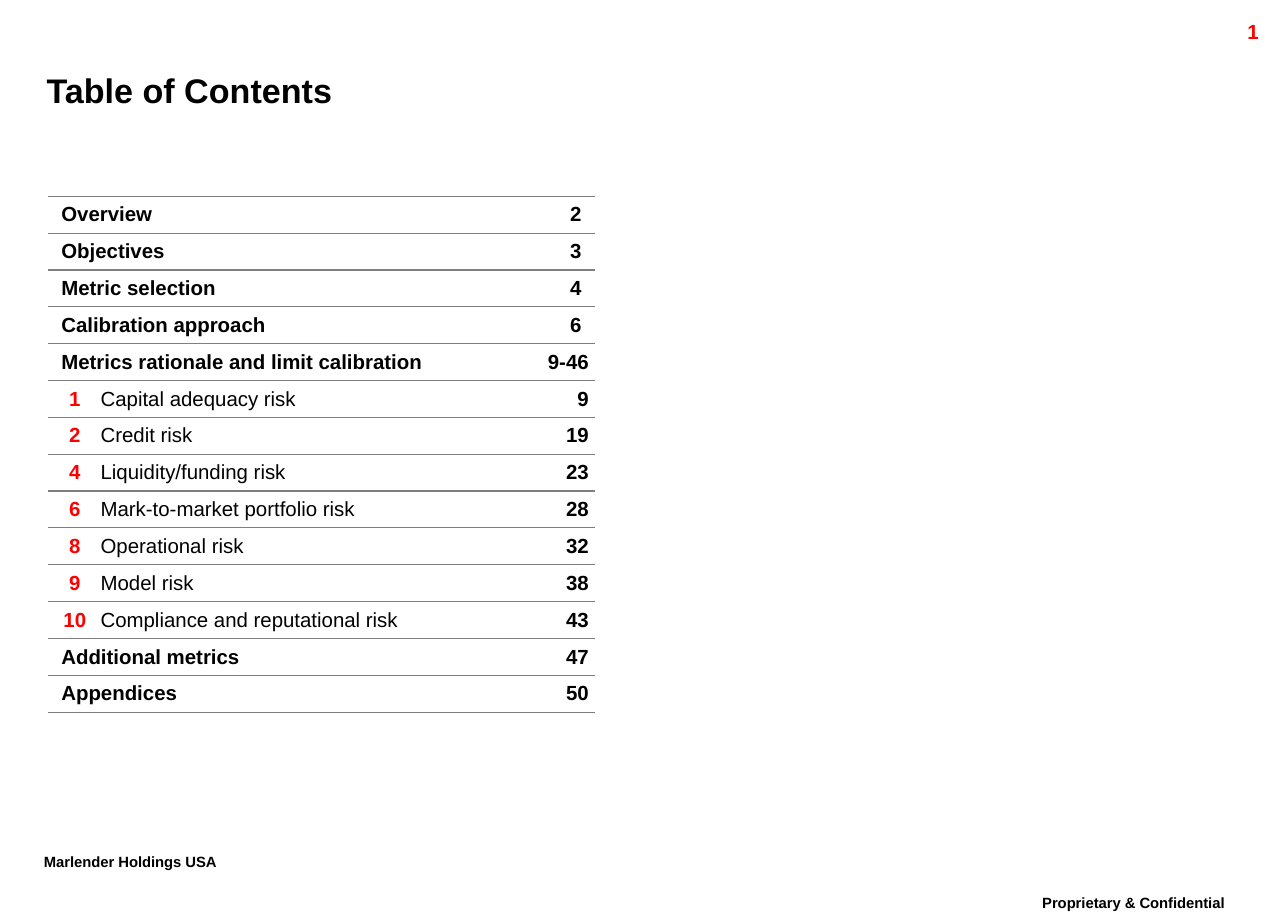
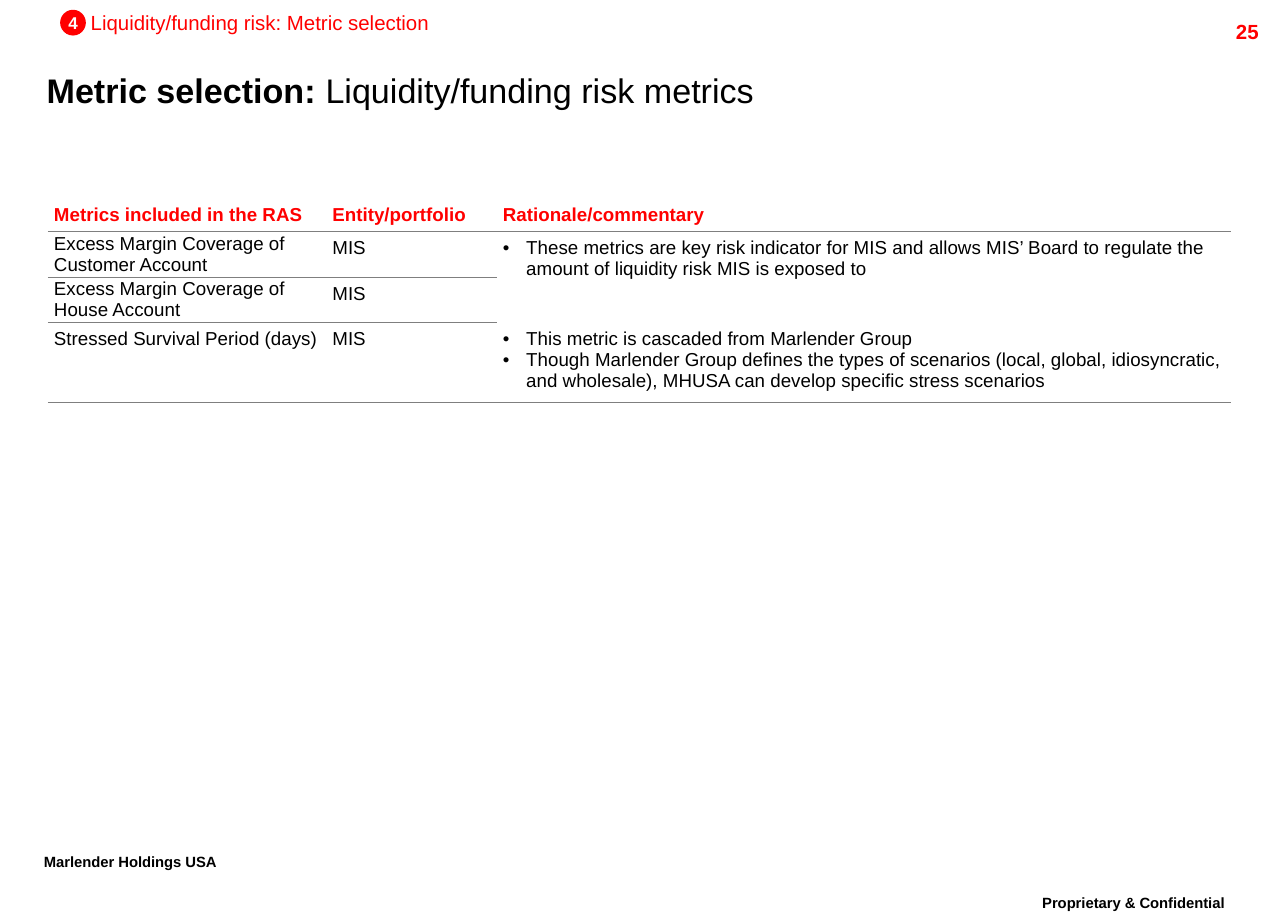
from dataclasses import dataclass
from typing import Any, Optional

import pptx
import pptx.dml.color
import pptx.enum.shapes
import pptx.enum.text
import pptx.oxml.ns
import pptx.util
from lxml import etree

PX = 9144  # EMU per px, 100 px to the inch
FONT = "Arial"
COLORS = {"text": "000000", "accent": "FF0000", "rule": "7F7F7F", "white": "FFFFFF"}
NO_STYLE = "{2D5ABB26-0587-4C30-8999-92F81FD0307C}"
ALIGN = pptx.enum.text.PP_ALIGN
ANCHOR = pptx.enum.text.MSO_ANCHOR
Insets = tuple[int, int, int, int]
WIDE: Insets = (11, 5, 11, 5)
NARROW: Insets = (5, 5, 5, 5)
INDENTED: Insets = (11, 5, 5, 5)
TIGHT: Insets = (5, 0, 0, 0)
ZERO: Insets = (0, 0, 0, 0)


@dataclass(frozen=True)
class Run:
    text: str
    size: int = 12
    color: str = "text"
    bold: bool = False
    baseline: int = 0


@dataclass(frozen=True)
class Cell:
    row: int
    col: int
    paras: tuple[Run, ...]
    align: Any = ALIGN.LEFT
    anchor: Any = ANCHOR.MIDDLE
    insets: Insets = NARROW
    cols: int = 1
    rows: int = 1
    bullet: bool = False


@dataclass(frozen=True)
class Entry:
    label: str
    pages: str
    number: Optional[str] = None
    cols: int = 3


@dataclass(frozen=True)
class Footer:
    text: str
    box: tuple[int, int, int, int]
    align: Any


FOOTERS = (
    Footer("Proprietary & Confidential", (815, 725, 218, 35), ALIGN.CENTER),
    Footer("Marlender Holdings USA", (26, 691, 191, 35), ALIGN.LEFT),
)
CONTENTS = (
    Entry("Overview", "2", cols=2),
    Entry("Objectives", "3", cols=2),
    Entry("Metric selection", "4", cols=2),
    Entry("Calibration approach", "6", cols=2),
    Entry("Metrics rationale and limit calibration", "9-46"),
    Entry("Capital adequacy risk", "9", "1"),
    Entry("Credit risk", "19", "2"),
    Entry("Liquidity/funding risk", "23", "4"),
    Entry("Mark-to-market portfolio risk", "28", "6"),
    Entry("Operational risk", "32", "8"),
    Entry("Model risk", "38", "9"),
    Entry("Compliance and reputational risk", "43", "10"),
    Entry("Additional metrics", "47"),
    Entry("Appendices", "50"),
)


def px(n: int) -> pptx.util.Emu:
    return pptx.util.Emu(n * PX)


def rgb(name: str) -> pptx.dml.color.RGBColor:
    return pptx.dml.color.RGBColor.from_string(COLORS[name])


def sub(parent: Any, tag: str, **attrs: str) -> Any:
    return etree.SubElement(parent, pptx.oxml.ns.qn(tag), attrs)


def solid(parent: Any, tag: str, color: str) -> None:
    sub(sub(parent, tag), "a:srgbClr", val=COLORS[color])


def add_run(p: Any, run: Run) -> None:
    r = p.add_run()
    r.text = run.text
    r.font.name, r.font.size, r.font.bold = FONT, pptx.util.Pt(run.size), run.bold
    r.font.color.rgb = rgb(run.color)
    if run.baseline:
        r._r.get_or_add_rPr().set("baseline", str(run.baseline * 1000))


def set_insets(target: Any, insets: Insets) -> None:
    (target.margin_left, target.margin_top,
     target.margin_right, target.margin_bottom) = map(px, insets)


def add_text(shapes: Any, box: tuple[int, int, int, int], runs: tuple[Run, ...],
             align: Any = ALIGN.LEFT, anchor: Any = ANCHOR.TOP,
             insets: Insets = (10, 5, 10, 5), spacing: float = 1.0) -> None:
    tf = shapes.add_textbox(*map(px, box)).text_frame
    tf.word_wrap, tf.vertical_anchor = True, anchor
    set_insets(tf, insets)
    p = tf.paragraphs[0]
    p.alignment, p.line_spacing = align, spacing
    for run in runs:
        add_run(p, run)


def add_bullet(p: Any) -> None:
    pPr = p._p.get_or_add_pPr()
    pPr.set("marL", str(px(19)))
    pPr.set("indent", str(-px(19)))
    solid(pPr, "a:buClr", "text")
    sub(pPr, "a:buFont", typeface=FONT)
    sub(pPr, "a:buChar", char="•")


def add_rule(cell: Any, tag: str) -> None:
    ln = sub(cell._tc.get_or_add_tcPr(), tag, w=str(pptx.util.Pt(0.75)))
    solid(ln, "a:solidFill", "rule")


def add_ruled_table(s: Any, box: tuple[int, int], widths: tuple[int, ...],
                    heights: tuple[int, ...], cells: list[Cell], top_rule: bool) -> None:
    size = (sum(widths), sum(heights))
    table = s.shapes.add_table(len(heights), len(widths), *map(px, box + size)).table
    tblPr = table._tbl.tblPr
    tblPr.find(pptx.oxml.ns.qn("a:tableStyleId")).text = NO_STYLE
    table.first_row = table.horz_banding = False
    for column, width in zip(table.columns, widths):
        column.width = px(width)
    for row, height in zip(table.rows, heights):
        row.height = px(height)

    # Spans and text
    for spec_cell in cells:
        c = table.cell(spec_cell.row, spec_cell.col)
        if spec_cell.cols > 1 or spec_cell.rows > 1:
            c.merge(table.cell(spec_cell.row + spec_cell.rows - 1,
                               spec_cell.col + spec_cell.cols - 1))
        set_insets(c, spec_cell.insets)
        c.vertical_anchor = spec_cell.anchor
        for i, run in enumerate(spec_cell.paras):
            p = c.text_frame.add_paragraph() if i else c.text_frame.paragraphs[0]
            p.alignment = spec_cell.align
            if spec_cell.bullet:
                add_bullet(p)
            add_run(p, run)

    # Horizontal rules, none inside a vertical span
    for i, row in enumerate(table.rows):
        for c in row.cells:
            if i == 0 and top_rule:
                add_rule(c, "a:lnT")
            if not (c.is_merge_origin and c.span_height > 1):
                add_rule(c, "a:lnB")
            c.fill.background()
            if not c.text_frame.text:
                set_insets(c, NARROW)
                c.text_frame.paragraphs[0].font.size = pptx.util.Pt(11)


def add_page(prs: Any, number: str, title: tuple[Run, ...]) -> Any:
    s = prs.slides.add_slide(prs.slide_layouts[6])
    for footer in FOOTERS:
        add_text(s.shapes, footer.box, (Run(footer.text, 15, bold=True, baseline=30),),
                 footer.align, spacing=0.86)
    add_text(s.shapes, (936, 11, 100, 24), (Run(number, 12, "accent", True),), ALIGN.RIGHT)
    add_text(s.shapes, (38, 49, 948, 48), title, anchor=ANCHOR.MIDDLE, insets=ZERO)
    return s


def add_contents(prs: Any) -> None:
    s = add_page(prs, "1", (Run("Table of Contents", 20, bold=True),))
    cells: list[Cell] = []
    for i, entry in enumerate(CONTENTS):
        if entry.number:
            cells += [Cell(i, 0, (Run(entry.number, 12, "accent", True),),
                           ALIGN.CENTER, insets=INDENTED),
                      Cell(i, 1, (Run(entry.label),), cols=2)]
        else:
            cells.append(Cell(i, 0, (Run(entry.label, bold=True),),
                              insets=INDENTED, cols=entry.cols))
        cells.append(Cell(i, 3, (Run(entry.pages, bold=True),), ALIGN.RIGHT,
                          insets=WIDE if entry.cols == 2 else NARROW))
    add_ruled_table(s, (39, 160), (38, 172, 181, 55), (30,) * len(CONTENTS), cells, True)


def add_metric_selection(prs: Any) -> None:
    s = add_page(prs, "25", (Run("Metric selection: ", 20, bold=True),
                             Run("Liquidity/funding risk metrics", 20)))

    # Metrics table
    headings = ("Metrics included in the RAS", "Entity/portfolio", "Rationale/commentary")
    cells = [Cell(0, i, (Run(text, 11, "accent", True),), anchor=ANCHOR.BOTTOM)
             for i, text in enumerate(headings)]
    metrics = (
        ("Excess Margin Coverage of Customer Account", ANCHOR.MIDDLE, TIGHT),
        ("Excess Margin Coverage of House Account", ANCHOR.MIDDLE, TIGHT),
        ("Stressed Survival Period (days)", ANCHOR.TOP, NARROW),
    )
    for i, (metric, anchor, insets) in enumerate(metrics, 1):
        cells += [Cell(i, 0, (Run(metric, 11),), anchor=anchor, insets=insets),
                  Cell(i, 1, (Run("MIS", 11),), anchor=ANCHOR.TOP)]
    rationales = (
        (1, 2, ("These metrics are key risk indicator for MIS and allows MIS’ Board to "
                "regulate the amount of liquidity risk MIS is exposed to",)),
        (3, 1, ("This metric is cascaded from Marlender Group",
                "Though Marlender Group defines the types of scenarios (local, global, "
                "idiosyncratic, and wholesale), MHUSA can develop specific stress scenarios")),
    )
    for row, rows, texts in rationales:
        cells.append(Cell(row, 2, tuple(Run(text, 11) for text in texts),
                          anchor=ANCHOR.TOP, rows=rows, bullet=True))
    add_ruled_table(s, (39, 160), (227, 139, 599), (29, 37, 37, 65), cells, False)

    # Section marker
    shapes = s.shapes.add_group_shape().shapes
    add_text(shapes, (74, 8, 300, 20),
             (Run("Liquidity/funding risk: Metric selection", 12, "accent"),), insets=ZERO)
    badge = shapes.add_shape(pptx.enum.shapes.MSO_SHAPE.OVAL, *map(px, (49, 8, 21, 21)))
    badge.shadow.inherit = False
    badge.fill.solid()
    badge.fill.fore_color.rgb = rgb("accent")
    badge.line.fill.background()
    tf = badge.text_frame
    tf.word_wrap, tf.vertical_anchor = False, ANCHOR.MIDDLE
    set_insets(tf, ZERO)
    tf.paragraphs[0].alignment = ALIGN.CENTER
    add_run(tf.paragraphs[0], Run("4", 10, "white", True))


def main() -> None:
    prs = pptx.Presentation()
    prs.slide_width, prs.slide_height = px(1050), px(750)
    add_contents(prs)
    add_metric_selection(prs)
    prs.save("out.pptx")


if __name__ == "__main__":
    main()
